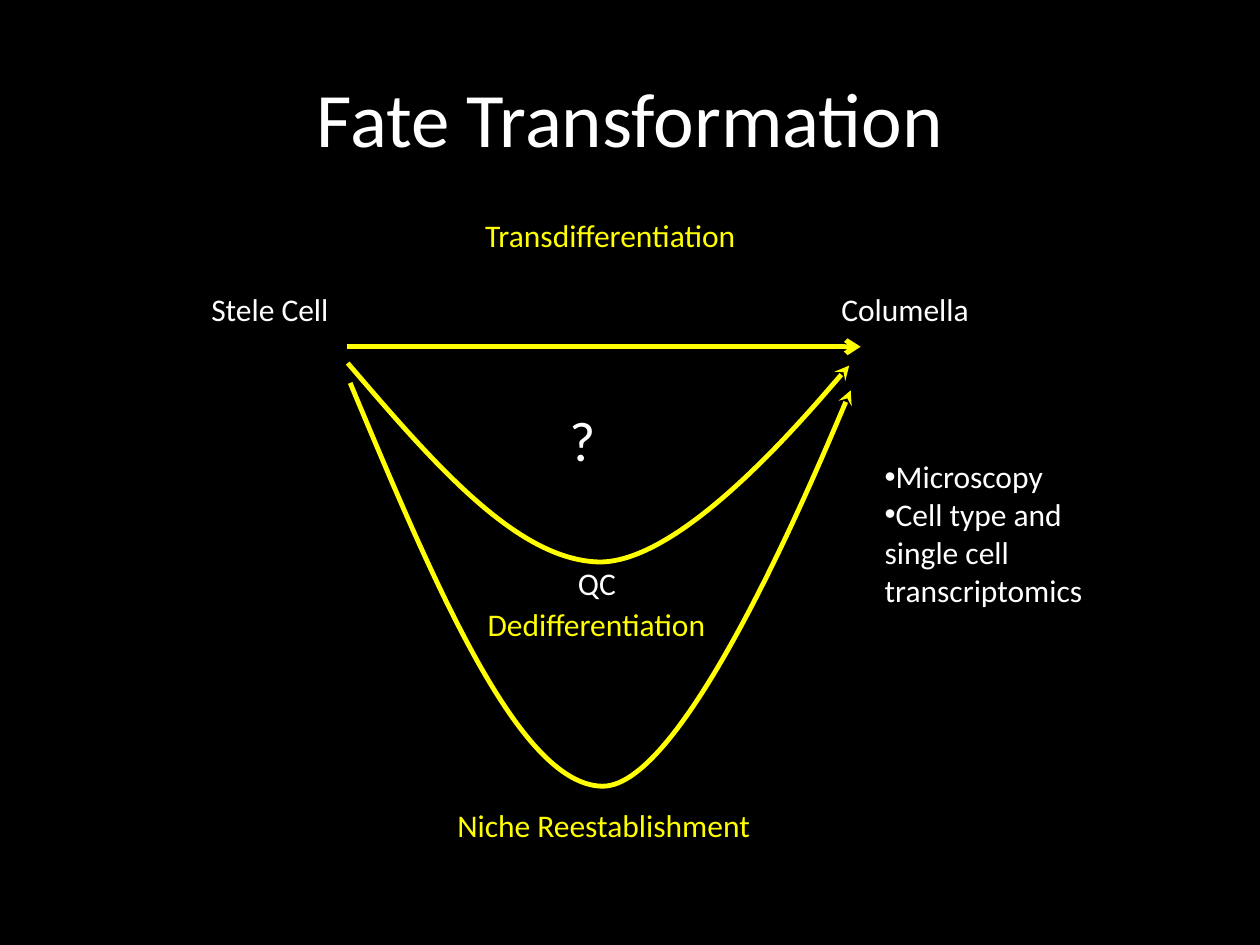
"""Build the Fate Transformation slide: three routes from stele cell to columella."""
import lxml.etree
import pptx
import pptx.dml.color
import pptx.enum.shapes
import pptx.enum.text
import pptx.oxml.ns
import pptx.util

Cm = pptx.util.Cm
qn = pptx.oxml.ns.qn
COLORS = {"background": "000000", "text": "FFFFFF", "route": "FFFF00"}


def rgb(name):
    return pptx.dml.color.RGBColor.from_string(COLORS[name])


def write(paragraph, text, size=18, color="text", align=None, bullet=None):
    if bullet:
        properties = paragraph._p.get_or_add_pPr()
        properties.set("marL", "0")
        properties.set("indent", "0")
        lxml.etree.SubElement(properties, qn("a:buChar")).set("char", bullet)
        paragraph.space_before = pptx.util.Pt(0)
    paragraph.alignment = align
    run = paragraph.add_run()
    run.text = text
    run.font.size = pptx.util.Pt(size)
    run.font.name = "Calibri"
    run.font.color.rgb = rgb(color)


class FateSlide:
    def __init__(self, presentation):
        self.slide = presentation.slides.add_slide(presentation.slide_layouts[1])
        fill = self.slide.background.fill
        fill.solid()
        fill.fore_color.rgb = rgb("background")

    def place(self, shape, left, top, width, height):
        shape.left, shape.top = Cm(left), Cm(top)
        shape.width, shape.height = Cm(width), Cm(height)

    def title(self, text, *box):
        heading = self.slide.shapes.title
        self.place(heading, *box)
        heading.text_frame.vertical_anchor = pptx.enum.text.MSO_ANCHOR.MIDDLE
        write(heading.text_frame.paragraphs[0], text, size=44,
              align=pptx.enum.text.PP_ALIGN.CENTER)

    def bullets(self, items, *box):
        methods = self.slide.placeholders[1]
        self.place(methods, *box)
        frame = methods.text_frame
        frame.auto_size = pptx.enum.text.MSO_AUTO_SIZE.SHAPE_TO_FIT_TEXT
        for index, item in enumerate(items):
            paragraph = frame.add_paragraph() if index else frame.paragraphs[0]
            write(paragraph, item, bullet="•")

    def label(self, text, left, top, width, height=1.02, **style):
        caption = self.slide.shapes.add_textbox(Cm(left), Cm(top), Cm(width), Cm(height))
        caption.text_frame.word_wrap = False
        caption.text_frame.auto_size = pptx.enum.text.MSO_AUTO_SIZE.SHAPE_TO_FIT_TEXT
        write(caption.text_frame.paragraphs[0], text, **style)

    def style_route(self, route, head):
        route.line.color.rgb = rgb("route")
        route.line.width = pptx.util.Pt(2.75)
        outline = route.line._get_or_add_ln()
        lxml.etree.SubElement(outline, qn("a:tailEnd")).set("type", head)

    def arrow(self, start, end):
        route = self.slide.shapes.add_connector(
            pptx.enum.shapes.MSO_CONNECTOR.STRAIGHT, *map(Cm, start + end))
        self.style_route(route, "arrow")
        lxml.etree.SubElement(route._element.spPr, qn("a:effectLst"))

    def curve(self, start, *controls):
        builder = self.slide.shapes.build_freeform(*map(Cm, start))
        builder.add_line_segments([tuple(map(Cm, point)) for point in controls], close=False)
        route = builder.convert_to_shape()
        route.shadow.inherit = False
        route.fill.background()
        self.style_route(route, "stealth")
        outline = next(route._element.iter(qn("a:path")))
        segments = outline.findall(qn("a:lnTo"))
        for first in range(0, len(segments), 3):
            bezier = lxml.etree.SubElement(outline, qn("a:cubicBezTo"))
            for segment in segments[first:first + 3]:
                bezier.append(segment[0])
                outline.remove(segment)


def main():
    presentation = pptx.Presentation()
    presentation.slide_width, presentation.slide_height = Cm(25.4), Cm(19.05)
    fate = FateSlide(presentation)
    fate.title("Fate Transformation", 1.27, 0.76, 22.86, 3.18)
    fate.arrow((6.99, 6.99), (17.35, 6.99))
    fate.curve((7.01, 7.32), (8.71, 9.3), (10.41, 11.3), (12.09, 11.33),
               (13.79, 11.33), (17.12, 7.37), (17.12, 7.37))
    fate.curve((7.06, 7.72), (8.76, 11.79), (10.46, 15.82), (12.14, 15.85),
               (13.82, 15.88), (17.15, 7.87), (17.15, 7.87))
    fate.label("Stele Cell", 4.01, 5.72, 2.9)
    fate.label("Columella", 16.71, 5.72, 3.1)
    fate.label("QC", 11.4, 11.25, 1.3)
    fate.label("?", 11.23, 8.05, 1.04, 1.63, size=32)
    fate.label("Transdifferentiation", 9.53, 4.24, 5.61, color="route")
    fate.label("Dedifferentiation", 9.58, 12.07, 4.95, color="route")
    fate.label("Niche Reestablishment", 8.97, 16.13, 6.48, color="route")
    fate.bullets(["Microscopy", "Cell type and single cell transcriptomics"],
                 17.58, 9.09, 4.65, 3.33)
    presentation.save("out.pptx")


if __name__ == "__main__":
    main()
